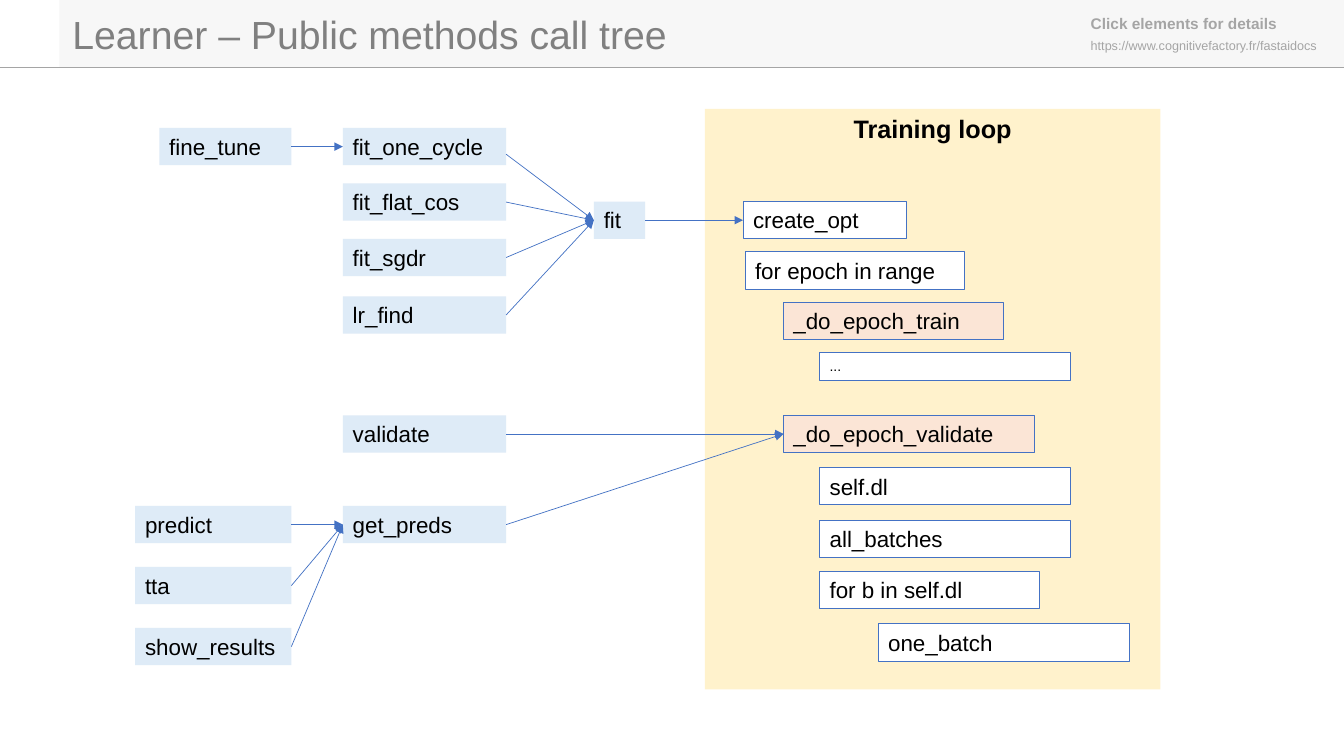
from dataclasses import dataclass
from typing import Optional

from lxml import etree
from pptx import Presentation
from pptx.dml.color import RGBColor
from pptx.enum import shapes, text
from pptx.oxml import ns
from pptx.util import Inches, Pt

WHITE = RGBColor(0xFF, 0xFF, 0xFF)
BLACK = RGBColor(0x00, 0x00, 0x00)
BAND = RGBColor(0xF7, 0xF7, 0xF7)
GRAY = RGBColor(0xA5, 0xA5, 0xA5)
TITLE_GRAY = RGBColor(0x80, 0x80, 0x80)
BLUE = RGBColor(0x44, 0x72, 0xC4)
PALE_BLUE = RGBColor(0xDE, 0xEB, 0xF7)
PALE_ORANGE = RGBColor(0xFB, 0xE5, 0xD6)
PALE_YELLOW = RGBColor(0xFF, 0xF2, 0xCC)

FONT = "Arial"
BOX_HEIGHT = 0.37
TOP, LEFT, BOTTOM, RIGHT = range(4)


@dataclass(frozen=True)
class Box:
    label: str
    left: float
    top: float
    width: float
    fill: RGBColor = PALE_BLUE
    line: Optional[RGBColor] = None
    height: float = BOX_HEIGHT
    size: float = 16


@dataclass(frozen=True)
class Call:
    caller: str
    callee: str
    start_y: Optional[float] = None


METHODS = [
    Box("fine_tune", 1.58, 1.27, 1.31),
    *[Box(label, 3.4, top, 1.62) for label, top in [
        ("fit_one_cycle", 1.27), ("fit_flat_cos", 1.82), ("fit_sgdr", 2.37),
        ("lr_find", 2.94), ("validate", 4.12), ("get_preds", 5.02)]],
    Box("fit", 5.89, 2, 0.51),
    *[Box(label, 1.34, 5.02 + 0.605 * i, 1.55)
      for i, label in enumerate(["predict", "tta", "show_results"])],
]

LOOP_STEPS = [
    Box("create_opt", 7.37, 2, 1.62, WHITE, BLUE),
    Box("for epoch in range", 7.39, 2.5, 2.18, WHITE, BLUE),
    Box("_do_epoch_train", 7.77, 3, 2.18, PALE_ORANGE, BLUE),
    Box("...", 8.13, 3.5, 2.49, WHITE, BLUE, height=0.28, size=10),
    Box("_do_epoch_validate", 7.77, 4.12, 2.49, PALE_ORANGE, BLUE),
    Box("self.dl", 8.13, 4.64, 2.49, WHITE, BLUE),
    Box("all_batches", 8.13, 5.16, 2.49, WHITE, BLUE),
    Box("for b in self.dl", 8.13, 5.67, 2.18, WHITE, BLUE),
    Box("one_batch", 8.71, 6.19, 2.49, WHITE, BLUE),
]

CALLS = [
    Call("fine_tune", "fit_one_cycle"),
    Call("fit_one_cycle", "fit", start_y=1.53),
    Call("fit_flat_cos", "fit"),
    Call("fit_sgdr", "fit"),
    Call("lr_find", "fit"),
    Call("fit", "create_opt"),
    Call("validate", "_do_epoch_validate"),
    Call("get_preds", "_do_epoch_validate"),
    Call("predict", "get_preds"),
    Call("tta", "get_preds"),
    Call("show_results", "get_preds"),
]


def write(sp, content: str, *, size: float, color: RGBColor = BLACK,
          bold: bool = False, align=text.PP_ALIGN.LEFT) -> None:
    tf = sp.text_frame
    tf.word_wrap = True
    tf.vertical_anchor = text.MSO_ANCHOR.TOP
    p = tf.paragraphs[0]
    p.alignment = align
    r = p.add_run()
    r.text = content
    r.font.name = FONT
    r.font.size = Pt(size)
    r.font.bold = bold
    r.font.color.rgb = color


def add_text(s, left: float, top: float, width: float, height: float,
             content: str, **style) -> None:
    sp = s.shapes.add_textbox(*map(Inches, (left, top, width, height)))
    write(sp, content, **style)


def add_rect(s, left: float, top: float, width: float, height: float,
             fill: RGBColor, line: Optional[RGBColor] = None):
    sp = s.shapes.add_shape(shapes.MSO_SHAPE.RECTANGLE,
                            *map(Inches, (left, top, width, height)))
    sp.shadow.inherit = False
    sp.fill.solid()
    sp.fill.fore_color.rgb = fill
    if line is None:
        sp.line.fill.background()
    else:
        sp.line.color.rgb = line
        sp.line.width = Pt(0.75)
    return sp


def add_box(s, box: Box):
    sp = add_rect(s, box.left, box.top, box.width, box.height, box.fill, box.line)
    write(sp, box.label, size=box.size)
    return sp


def add_line(s, x1: int, y1: int, x2: int, y2: int, color: RGBColor):
    line = s.shapes.add_connector(shapes.MSO_CONNECTOR.STRAIGHT, x1, y1, x2, y2)
    line.line.color.rgb = color
    line.line.width = Pt(0.5)
    etree.SubElement(line._element.spPr, ns.qn("a:effectLst"))
    return line


def add_call(s, call: Call, boxes: dict) -> None:
    caller, callee = boxes[call.caller], boxes[call.callee]
    start_y = caller.top if call.start_y is None else Inches(call.start_y)
    arrow = add_line(s, caller.left + caller.width, start_y,
                     callee.left, callee.top, BLUE)
    if call.start_y is None:
        arrow.begin_connect(caller, RIGHT)
    arrow.end_connect(callee, LEFT)
    etree.SubElement(arrow.line._get_or_add_ln(), ns.qn("a:tailEnd"), type="triangle")


def main() -> None:
    prs = Presentation()
    prs.slide_width, prs.slide_height = Inches(13.33), Inches(7.5)
    s = prs.slides.add_slide(prs.slide_layouts[6])

    add_rect(s, 0.59, 0, 12.74, 0.67, BAND)
    add_line(s, 0, Inches(0.67), prs.slide_width, Inches(0.67), GRAY)
    add_text(s, 0.62, 0.05, 6.17, 0.57, "Learner – Public methods call tree",
             size=28, color=TITLE_GRAY)
    add_text(s, 10.72, 0.09, 2.67, 0.29, "Click elements for details",
             size=11, color=GRAY, bold=True)
    add_text(s, 10.72, 0.33, 2.7, 0.25, "https://www.cognitivefactory.fr/fastaidocs",
             size=9, color=GRAY)

    loop = add_rect(s, 6.99, 1.08, 4.52, 5.76, PALE_YELLOW)
    write(loop, "Training loop", size=18, bold=True, align=text.PP_ALIGN.CENTER)

    boxes = {box.label: add_box(s, box) for box in METHODS + LOOP_STEPS}
    for call in CALLS:
        add_call(s, call, boxes)

    prs.save("out.pptx")


if __name__ == "__main__":
    main()
